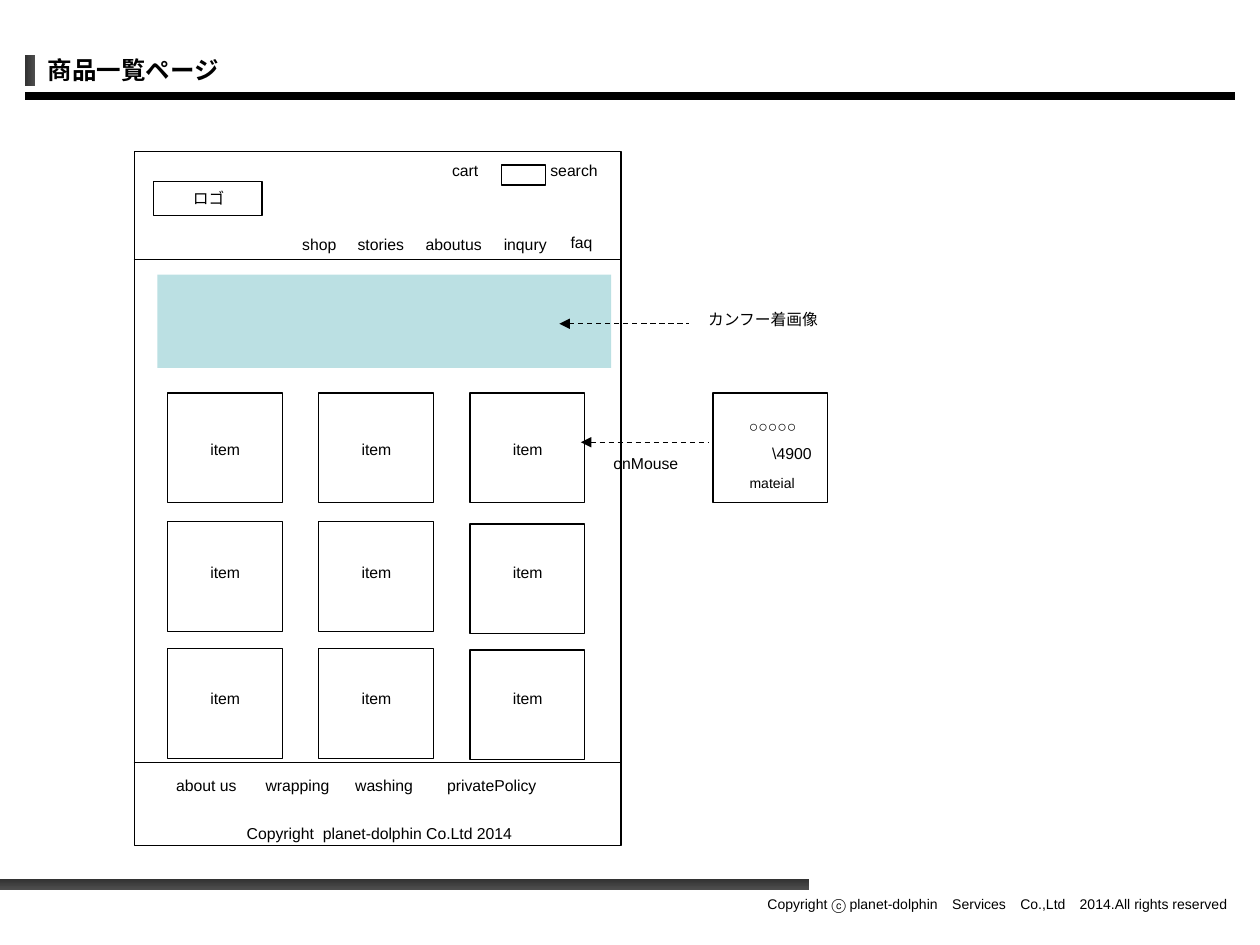
from itertools import product
from lxml.etree import SubElement
from pptx import Presentation
from pptx.dml.color import RGBColor as RGB
from pptx.enum.dml import MSO_LINE_DASH_STYLE as Dash
from pptx.enum.shapes import MSO_CONNECTOR as Conn, MSO_SHAPE as Shape
from pptx.enum.text import MSO_ANCHOR as Anchor, MSO_AUTO_SIZE as Auto, PP_ALIGN as Align
from pptx.oxml.ns import qn
from pptx.util import Inches, Pt

HUES = {"ink": "000000", "paper": "FFFFFF", "hero": "BBE0E3", "dark": "333333", "grey": "4D4D4D"}
WIDE, HIGH = Inches(10), Inches(7.5)
COLS, ROWS = 100, 75
SLACK = 0.3
CJK = "Noto Sans CJK JP"


def hue(name):
    """Return a named colour."""
    return RGB.from_string(HUES[name])


def place(*spots):
    """Turn alternating columns and rows into lengths."""
    units = (WIDE / COLS, HIGH / ROWS)
    return [round(spot * units[i % 2]) for i, spot in enumerate(spots)]


def block(slide, at, fill="paper", edge=True):
    """Draw a plain rectangle."""
    box = slide.shapes.add_shape(Shape.RECTANGLE, *place(*at))
    box.shadow.inherit = False
    box.fill.solid()
    box.fill.fore_color.rgb = hue(fill)
    if edge:
        box.line.color.rgb = hue("ink")
        box.line.width = Pt(0.75)
    else:
        box.line.fill.background()
    return box


def shade(slide, at, angle):
    """Draw a dark bar with a gradient."""
    fill = block(slide, at, edge=False).fill
    fill.gradient()
    fill.gradient_angle = angle
    for stop, name, spot in zip(fill.gradient_stops, ("dark", "grey"), (0, 1)):
        stop.color.rgb = hue(name)
        stop.position = spot


def rule(slide, ends, width=0.75, arrow=False):
    """Draw a line, or a dashed arrow that points to its start."""
    line = slide.shapes.add_connector(Conn.STRAIGHT, *place(*ends))
    line.line.color.rgb = hue("ink")
    line.line.width = Pt(width)
    if arrow:
        line.line.dash_style = Dash.DASH
        SubElement(line.line._get_or_add_ln(), qn("a:headEnd"), type="triangle")
    SubElement(line._element.spPr, qn("a:effectLst"))


def label(slide, text, at, size=9, align=Align.LEFT, wrap=False, face="Arial", bold=False):
    """Write one line of text, with slack on its loose side."""
    left, top, width, height = at
    if not wrap:
        left -= SLACK * (align == Align.RIGHT)
        width += SLACK
    frame = slide.shapes.add_textbox(*place(left, top, width, height)).text_frame
    frame.word_wrap = wrap
    frame.auto_size = Auto.NONE if bold else Auto.SHAPE_TO_FIT_TEXT
    frame.vertical_anchor = Anchor.MIDDLE if bold else Anchor.TOP
    para = frame.paragraphs[0]
    para.text = text
    para.alignment = align
    font = para.font
    font.size, font.bold, font.name = Pt(size), bold, face
    font.color.rgb = hue("ink")
    SubElement(para._p.pPr.find(qn("a:defRPr")), qn("a:ea"), typeface=CJK)


def row(slide, top, words):
    """Write a row of menu words."""
    for text, left, width in words:
        label(slide, text, (left, top, width, 2.5))


def trim(slide):
    """Draw the title, its rule and the footer."""
    rule(slide, (2, 7.6, 98, 7.6), 4.5)
    shade(slide, (0, 69.8, 64.2, 0.8), 270)
    shade(slide, (2, 4.4, 0.8, 2.4), 0)
    label(slide, "商品一覧ページ", (2.8, 3.6, 60.6, 3.8), 14, wrap=True, face=CJK, bold=True)
    label(slide, "Copyright ⓒ planet-dolphin　Services　Co.,Ltd　2014.All rights reserved",
          (55.5, 70.6, 42.9, 2.4), 8, Align.RIGHT, True)


def page(slide):
    """Draw the page frame with its header and footer."""
    block(slide, (10.7, 12, 38.6, 55.1))
    block(slide, (12.5, 21.8, 36, 7.4), "hero", False)
    rule(slide, (10.6, 20.6, 49.2, 20.6))
    rule(slide, (10.6, 60.5, 49.2, 60.5), 0.5)
    block(slide, (12.2, 14.4, 8.6, 2.7))
    label(slide, "ロゴ", (14.3, 14.5, 4.5, 2.5), align=Align.RIGHT)
    block(slide, (39.8, 13.1, 3.5, 1.6))
    row(slide, 12.3, [("cart", 34.9, 4.1), ("search", 42.7, 5.7)])
    row(slide, 18.1, [("shop", 23, 4.7), ("stories", 27.4, 5.7),
                      ("aboutus", 32.8, 6.4), ("inqury", 39, 5.4)])
    row(slide, 18, [("faq", 44.3, 3.7)])
    row(slide, 61.1, [("about us", 13, 6.8), ("wrapping", 20.1, 7),
                      ("washing", 27.2, 6.6), ("privatePolicy", 34.5, 9.1)])
    row(slide, 64.9, [("Copyright  planet-dolphin Co.Ltd 2014", 18.6, 23)])


def items(slide):
    """Draw the grid of items."""
    tops = ((31.2, 34.4, 0), (41.4, 44.2, 0.2), (51.5, 54.2, 0.1))
    for (top, text, drop), col in product(tops, range(3)):
        left = 13.3 + 12 * col
        block(slide, (left, top + drop * (col == 2), 9.1, 8.7))
        label(slide, "item", (left + 2.45, text, 4.3, 2.5), align=Align.RIGHT)


def notes(slide):
    """Draw the hover card and the arrows beside the page."""
    block(slide, (56.6, 31.2, 9.1, 8.7))
    label(slide, "○○○○○", (58.4, 32.6, 5.8, 2.5), align=Align.RIGHT)
    label(slide, "\\4900", (60.3, 34.7, 5.1, 2.5), align=Align.RIGHT)
    label(slide, "mateial", (58.5, 37.2, 5.6, 2.4), 8)
    label(slide, "onMouse", (47.7, 35.5, 7.1, 2.5))
    rule(slide, (46.1, 35.1, 56.3, 35.1), arrow=True)
    label(slide, "カンフー着画像", (55.2, 24.1, 10.7, 2.5), align=Align.CENTER, wrap=True)
    rule(slide, (44.4, 25.7, 54.7, 25.7), arrow=True)


def main():
    """Build and save the slide."""
    deck = Presentation()
    deck.slide_width, deck.slide_height = WIDE, HIGH
    slide = deck.slides.add_slide(deck.slide_layouts[6])
    for draw in (trim, page, items, notes):
        draw(slide)
    deck.save("out.pptx")


if __name__ == "__main__":
    main()
